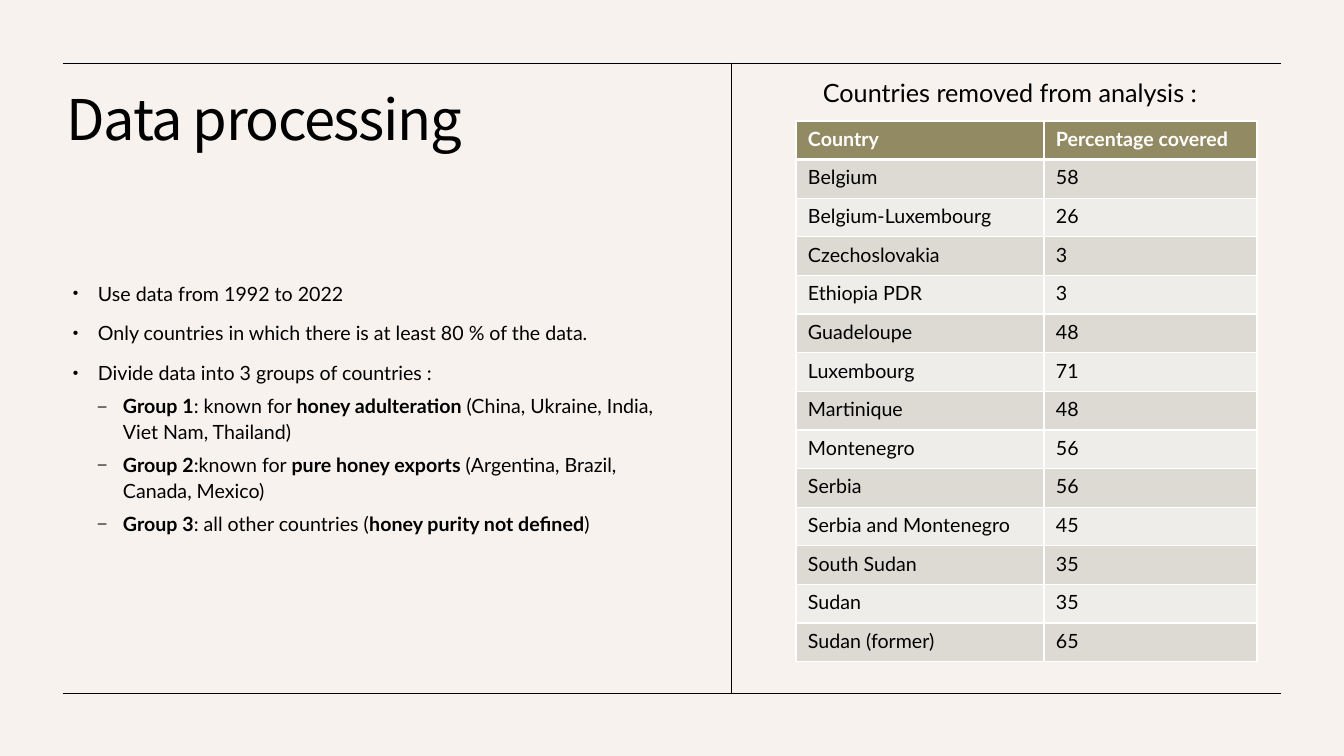
from lxml import etree
from pptx import Presentation
from pptx.dml.color import RGBColor
from pptx.enum.shapes import MSO_CONNECTOR
from pptx.enum.text import MSO_ANCHOR
from pptx.oxml.ns import qn
from pptx.util import Emu, Pt

PX_PER_INCH = 100.8
STRAIGHT = MSO_CONNECTOR.STRAIGHT
TOP, BOTTOM = MSO_ANCHOR.TOP, MSO_ANCHOR.BOTTOM

BLACK = RGBColor(0x00, 0x00, 0x00)
WHITE = RGBColor(0xFF, 0xFF, 0xFF)
CREAM = RGBColor(0xF7, 0xF2, 0xEE)
OLIVE = RGBColor(0x92, 0x8A, 0x63)
BANDS = (RGBColor(0xDC, 0xDA, 0xD3), RGBColor(0xEE, 0xED, 0xEA))

TITLE_FONT = "Noto Sans CJK KR"
BODY_FONT = "Lato"

LEFT, RIGHT, DIVIDER = 63, 1281, 731
RULE_TOP, RULE_BOTTOM = 63, 693
INDENT = 25

BULLETS = [
    (0, "Use data from 1992 to 2022"),
    (0, "Only countries in which there is at least 80 % of the data."),
    (0, "Divide data into 3 groups of countries :"),
    (1, "**Group 1**: known for **honey adulteration **(China, Ukraine, India, Viet Nam, Thailand)"),
    (1, "**Group 2**:known for **pure honey exports **(Argentina, Brazil, Canada, Mexico)"),
    (1, "**Group 3**: all other countries (**honey purity not defined**)"),
]

COUNTRIES = [
    ("Country", "Percentage covered"),
    ("Belgium", "58"),
    ("Belgium-Luxembourg", "26"),
    ("Czechoslovakia", "3"),
    ("Ethiopia PDR", "3"),
    ("Guadeloupe", "48"),
    ("Luxembourg", "71"),
    ("Martinique", "48"),
    ("Montenegro", "56"),
    ("Serbia", "56"),
    ("Serbia and Montenegro", "45"),
    ("South Sudan", "35"),
    ("Sudan", "35"),
    ("Sudan (former)", "65"),
]


def px(length):
    """Turn pixels into EMU."""
    return Emu(round(length * 914400 / PX_PER_INCH))


def set_font(paragraph, name, size, color):
    """Set the font that all runs of a paragraph share."""
    paragraph.font.name = name
    paragraph.font.size = Pt(size)
    paragraph.font.color.rgb = color


def add_text_frame(slide, left, top, width, height, anchor=TOP):
    """Add a wrapping text box and return its text frame."""
    shape = slide.shapes.add_textbox(px(left), px(top), px(width), px(height))
    frame = shape.text_frame
    frame.word_wrap = True
    frame.vertical_anchor = anchor
    return frame


def add_rule(slide, x1, y1, x2, y2):
    """Add a thin black line without a shadow."""
    connector = slide.shapes.add_connector(STRAIGHT, px(x1), px(y1), px(x2), px(y2))
    connector.line.color.rgb = BLACK
    connector.line.width = Pt(0.5)
    etree.SubElement(connector._element.spPr, qn("a:effectLst"))


def add_title(slide, text):
    """Add the slide title with slightly tightened letters."""
    paragraph = add_text_frame(slide, 57, 87, 614, 101).paragraphs[0]
    paragraph.line_spacing = 0.9
    run = paragraph.add_run()
    run.text = text
    set_font(paragraph, TITLE_FONT, 40, BLACK)
    run._r.get_or_add_rPr().set("spc", "-100")


def add_caption(slide, text):
    """Add the heading above the table."""
    paragraph = add_text_frame(slide, 813, 72, 408, 40).paragraphs[0]
    paragraph.text = text
    set_font(paragraph, BODY_FONT, 18, BLACK)


def set_bullet(paragraph, level):
    """Give a paragraph the hanging bullet of its level."""
    paragraph.level = level
    properties = paragraph._p.get_or_add_pPr()
    properties.set("marL", str(px(INDENT * (level + 1))))
    properties.set("indent", str(-px(INDENT)))
    size = etree.Element(qn("a:buSzPct"), val="80000")
    font = etree.Element(qn("a:buFont"), typeface="Arial")
    character = etree.Element(qn("a:buChar"), char="•–"[level])
    position = len(properties.findall(qn("a:lnSpc")) + properties.findall(qn("a:spcBef")))
    for offset, element in enumerate((size, font, character)):
        properties.insert(position + offset, element)


def add_bullets(slide, bullets):
    """Add the bullet list, where ** marks the bold parts."""
    frame = add_text_frame(slide, LEFT, 234, 603, 306, BOTTOM)
    for index, (level, text) in enumerate(bullets):
        paragraph = frame.add_paragraph() if index else frame.paragraphs[0]
        paragraph.line_spacing = 1.1
        paragraph.space_before = Pt(5 if level else 10)
        set_font(paragraph, BODY_FONT, 14, BLACK)
        set_bullet(paragraph, level)
        for part_index, part in enumerate(text.split("**")):
            if part:
                run = paragraph.add_run()
                run.text = part
                run.font.bold = part_index % 2 == 1


def set_borders(cell, top, bottom):
    """Draw white borders round a cell, with top and bottom widths in points."""
    properties = cell._tc.get_or_add_tcPr()
    for side, width in (("L", 1), ("R", 1), ("T", top), ("B", bottom)):
        line = etree.SubElement(properties, qn(f"a:ln{side}"), w=str(Pt(width)))
        fill = etree.SubElement(line, qn("a:solidFill"))
        etree.SubElement(fill, qn("a:srgbClr"), val=str(WHITE))


def fill_cell(cell, text, row):
    """Write and style one table cell according to its row."""
    header = row == 0
    cell.margin_left = cell.margin_right = px(12)
    cell.margin_top = cell.margin_bottom = px(6)
    set_borders(cell, 3 if row == 1 else 1, 3 if header else 1)
    cell.fill.solid()
    cell.fill.fore_color.rgb = OLIVE if header else BANDS[(row - 1) % 2]
    paragraph = cell.text_frame.paragraphs[0]
    paragraph.text = text
    set_font(paragraph, BODY_FONT, 14, WHITE if header else BLACK)
    paragraph.font.bold = header


def add_country_table(slide, rows):
    """Add the table of removed countries."""
    widths = (248, 213)
    table = slide.shapes.add_table(
        len(rows), len(widths), px(796), px(121), px(sum(widths)), px(541)
    ).table
    for column, width in zip(table.columns, widths):
        column.width = px(width)
    for row, values in enumerate(rows):
        for column, text in enumerate(values):
            fill_cell(table.cell(row, column), text, row)


def main():
    """Build and save the slide."""
    presentation = Presentation()
    presentation.slide_width = px(1344)
    presentation.slide_height = px(756)
    slide = presentation.slides.add_slide(presentation.slide_layouts[6])
    slide.background.fill.solid()
    slide.background.fill.fore_color.rgb = CREAM
    add_title(slide, "Data processing")
    add_rule(slide, LEFT, RULE_TOP, RIGHT, RULE_TOP)
    add_bullets(slide, BULLETS)
    add_rule(slide, DIVIDER, RULE_TOP, DIVIDER, RULE_BOTTOM)
    add_rule(slide, LEFT, RULE_BOTTOM, RIGHT, RULE_BOTTOM)
    add_country_table(slide, COUNTRIES)
    add_caption(slide, "Countries removed from analysis :")
    presentation.save("out.pptx")


if __name__ == "__main__":
    main()
